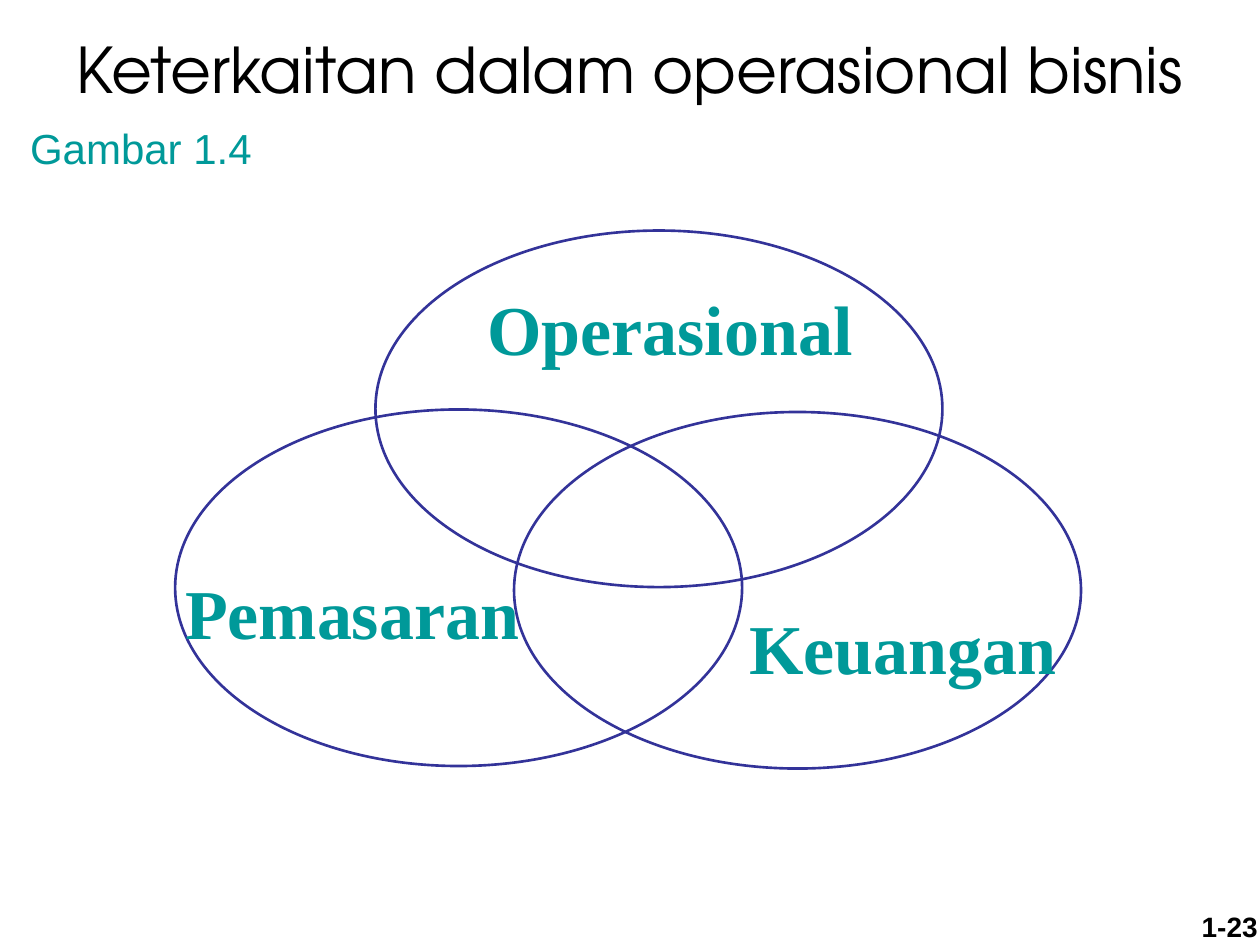
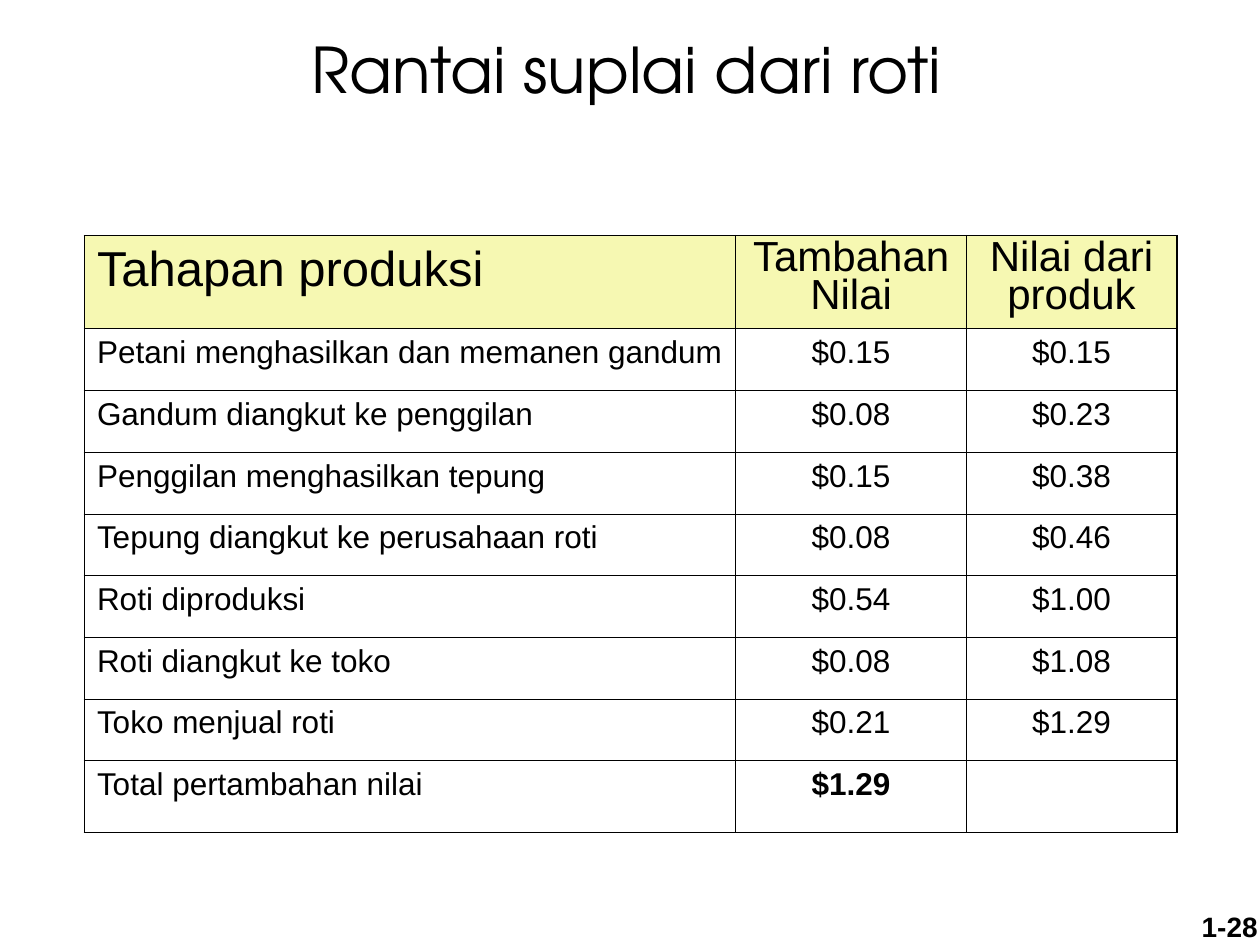
from lxml import etree
from pptx import Presentation
from pptx.dml.color import RGBColor
from pptx.enum.shapes import MSO_SHAPE
from pptx.enum.text import MSO_ANCHOR, MSO_AUTO_SIZE, PP_ALIGN
from pptx.oxml.ns import qn
from pptx.util import Inches, Pt

LEFT, CENTER, RIGHT = PP_ALIGN.LEFT, PP_ALIGN.CENTER, PP_ALIGN.RIGHT
TOP = MSO_ANCHOR.TOP
NO_FIT = MSO_AUTO_SIZE.NONE
OVAL = MSO_SHAPE.OVAL

BLACK = RGBColor(0x00, 0x00, 0x00)
TEAL = RGBColor(0x00, 0x99, 0x99)
INDIGO = RGBColor(0x33, 0x33, 0x99)
CREAM = RGBColor(0xF6, 0xF8, 0xB2)

TITLE = dict(name="TeX Gyre Adventor", size=Pt(36), bold=False)
CAPTION = dict(name="Arial", size=Pt(24), bold=False)
CIRCLE_LABEL = dict(name="Times New Roman", size=Pt(40), bold=True)
PAGE_NUMBER = dict(name="Arial", size=Pt(16), bold=True)
CELL = dict(name="Arial", size=Pt(18), bold=False)

TITLE_ONLY = 5
THIN, THICK = Pt(0.45), Pt(1.08)

CIRCLES = [(2.98, 1.83), (1.39, 3.25), (4.08, 3.27)]
CIRCLE_LABELS = [
    ("Operasional", (3.77, 2.22, 3.1, 0.76)),
    ("Keuangan", (5.85, 4.75, 2.64, 0.76)),
    ("Pemasaran", (1.37, 4.47, 2.85, 0.76)),
]
HEADERS = [  # text, size, space before, line spacing
    ("Tahapan produksi", 28, 7, 1.0),
    ("Tambahan Nilai", 24, 3, 0.8),
    ("Nilai dari produk", 24, 4.5, 0.8),
]
STAGES = [
    ("Petani menghasilkan dan memanen gandum", "$0.15", "$0.15"),
    ("Gandum diangkut ke penggilan", "$0.08", "$0.23"),
    ("Penggilan menghasilkan tepung", "$0.15", "$0.38"),
    ("Tepung diangkut ke perusahaan roti", "$0.08", "$0.46"),
    ("Roti diproduksi", "$0.54", "$1.00"),
    ("Roti diangkut ke toko", "$0.08", "$1.08"),
    ("Toko menjual roti", "$0.21", "$1.29"),
    ("Total pertambahan nilai", "$1.29", ""),
]
COLUMN_WIDTHS = [5.17, 1.83, 1.67]
ROW_HEIGHTS = [0.74] + [0.49] * 7 + [0.57]


def set_borders(cell, widths):
    """Draw black borders; widths run left, right, top, bottom."""
    tc_pr = cell._tc.get_or_add_tcPr()
    for i, (side, width) in enumerate(zip("LRTB", widths)):
        ln = etree.Element(qn(f"a:ln{side}"), w=str(width))
        fill = etree.SubElement(ln, qn("a:solidFill"))
        etree.SubElement(fill, qn("a:srgbClr"), val=str(BLACK))
        tc_pr.insert(i, ln)


class Deck:
    def __init__(self):
        self.prs = Presentation()
        self.prs.slide_width, self.prs.slide_height = Inches(10), Inches(7.5)
        self.s = None

    def add_slide(self, title, number, title_width=10):
        self.s = self.prs.slides.add_slide(self.prs.slide_layouts[TITLE_ONLY])
        sp = self.s.shapes.title
        box = [Inches(v) for v in (0, 0.19, title_width, 0.7)]
        sp.left, sp.top, sp.width, sp.height = box
        self.fill_frame(sp.text_frame, title, TITLE, BLACK, CENTER)
        self.text(number, (7.75, 7.17, 2.33, 0.52), PAGE_NUMBER, BLACK, RIGHT, wrap=True)

    def fill_frame(self, tf, text, style, color, align=LEFT, wrap=True):
        frame = dict(word_wrap=wrap, auto_size=NO_FIT, vertical_anchor=TOP)
        for key, value in frame.items():
            setattr(tf, key, value)
        self.paragraph(tf, text, style, color, align)

    def paragraph(self, tf, text, style, color, align, **spacing):
        p = tf.paragraphs[0]
        for key, value in dict(alignment=align, **spacing).items():
            setattr(p, key, value)
        r = p.add_run()
        r.text = text
        for key, value in style.items():
            setattr(r.font, key, value)
        r.font.color.rgb = color

    def text(self, text, box, style, color, align=LEFT, wrap=False):
        sp = self.s.shapes.add_textbox(*(Inches(v) for v in box))
        self.fill_frame(sp.text_frame, text, style, color, align, wrap)

    def circle(self, left, top):
        sp = self.s.shapes.add_shape(OVAL, Inches(left), Inches(top), Inches(4.5), Inches(2.83))
        sp.shadow.inherit = False
        sp.fill.background()
        sp.line.color.rgb = INDIGO
        sp.line.width = Pt(1.5)

    def table(self, headers, rows, left, top):
        n_rows, n_cols = len(rows) + 1, len(headers)
        size = sum(COLUMN_WIDTHS), sum(ROW_HEIGHTS)
        table = self.s.shapes.add_table(
            n_rows, n_cols, *(Inches(v) for v in (left, top, *size))).table
        table.first_row = table.horz_banding = False
        for column, width in zip(table.columns, COLUMN_WIDTHS):
            column.width = Inches(width)
        for row, height in zip(table.rows, ROW_HEIGHTS):
            row.height = Inches(height)

        for j, (text, points, before, spacing) in enumerate(headers):
            cell = table.cell(0, j)
            cell.fill.solid()
            cell.fill.fore_color.rgb = CREAM
            self.paragraph(cell.text_frame, text, CELL | dict(size=Pt(points)), BLACK,
                           CENTER if j else LEFT, space_before=Pt(before), line_spacing=spacing)

        for i, values in enumerate(rows, 1):
            for j, text in enumerate(values):
                cell = table.cell(i, j)
                cell.fill.background()
                is_total = i == n_rows - 1 and j > 0
                self.paragraph(cell.text_frame, text, CELL | dict(bold=is_total), BLACK,
                               CENTER if j else LEFT, space_before=Pt(4.5))

        for i in range(n_rows):
            for j in range(n_cols):
                outer = (j == 0, j == n_cols - 1, i == 0, i == n_rows - 1)
                set_borders(table.cell(i, j), [THICK if edge else THIN for edge in outer])


def main():
    deck = Deck()

    deck.add_slide("Keterkaitan dalam operasional bisnis", "1-23")
    for left, top in CIRCLES:
        deck.circle(left, top)
    for label, box in CIRCLE_LABELS:
        deck.text(label, box, CIRCLE_LABEL, TEAL)
    deck.text("Gambar 1.4", (0.14, 0.92, 1.96, 0.5), CAPTION, TEAL)

    deck.add_slide("Rantai suplai dari roti", "1-28", title_width=9.94)
    deck.table(HEADERS, STAGES, 0.67, 1.87)

    deck.prs.save("out.pptx")


if __name__ == "__main__":
    main()
